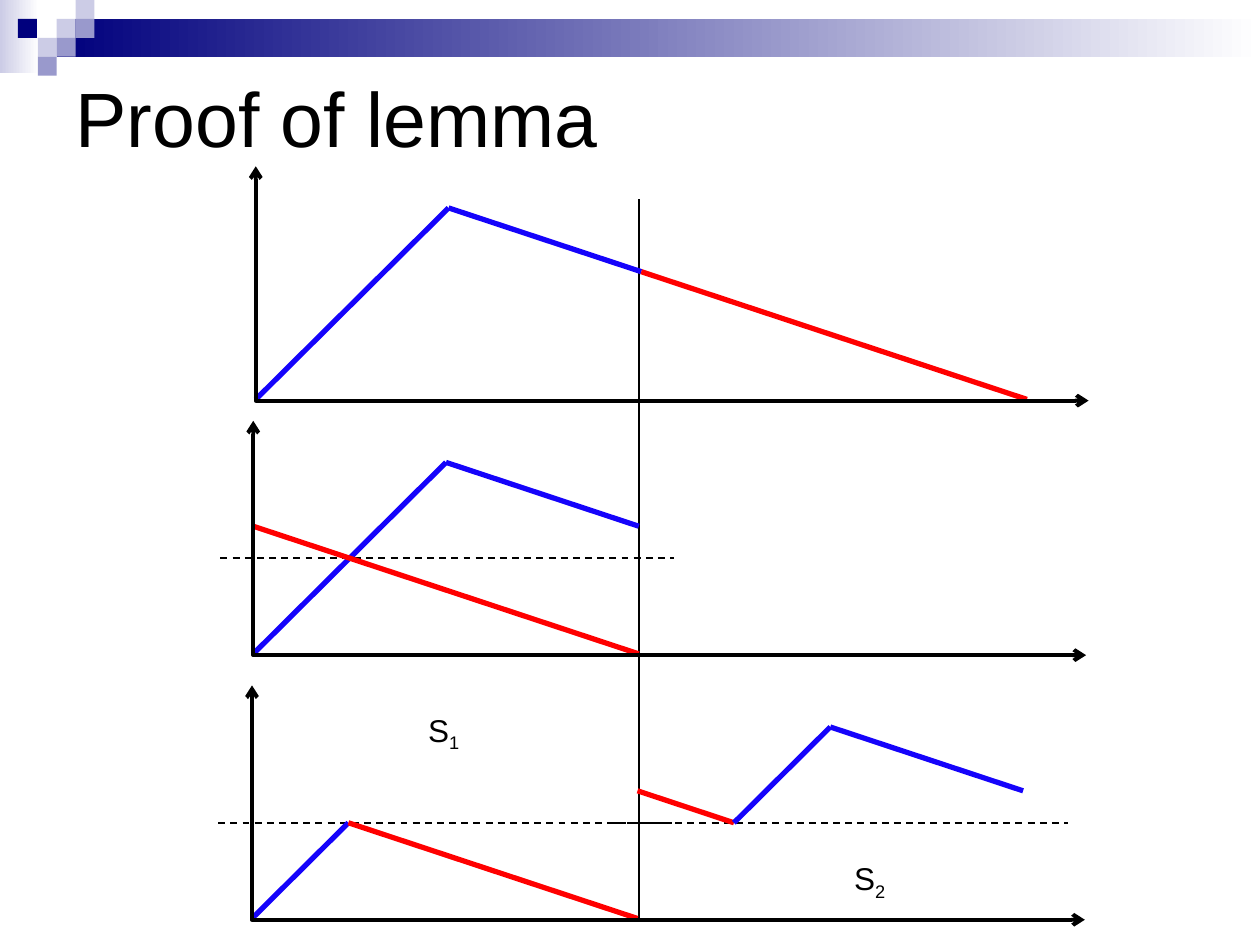
from dataclasses import dataclass

from lxml import etree
from pptx import Presentation, util as u
from pptx.dml.color import RGBColor
from pptx.enum import dml, shapes, text
from pptx.oxml.ns import qn


@dataclass(frozen=True)
class Theme:
    font: str = "Arial"
    title_size: float = 44
    label_size: float = 18
    ink: str = "000000"
    rising: str = "1503FB"
    falling: str = "FF0000"
    navy: str = "00007D"
    mid: str = "9999CC"
    pale: str = "CCCCE6"
    white: str = "FFFFFF"
    curve: float = 3
    axis: float = 2.25
    guide: float = 1


THEME = Theme()
COLUMNS, ROWS = 100, 75          # page grid, each cell 0.1 inch
CELL = u.Inches(0.1)
UNIT_X, UNIT_Y = 7.65, 7.6       # one data unit in grid cells
AXIS_WIDTH, AXIS_HEIGHT = 66.1, 18.6
SHOULDER = 4 / 3                 # curve height halfway along


def grid(*cells):
    return [round(cell * CELL) for cell in cells]


def color(value):
    return RGBColor.from_string(value)


def add_line(slide, start, end, ink, width, dashed=False):
    line = slide.shapes.add_connector(
        shapes.MSO_CONNECTOR.STRAIGHT, *grid(*start, *end))
    line.line.color.rgb = color(ink)
    line.line.width = u.Pt(width)
    if dashed:
        line.line.dash_style = dml.MSO_LINE.DASH
    etree.SubElement(line._element.spPr, qn("a:effectLst"))


def style_run(run, size):
    run.font.name = THEME.font
    run.font.size = u.Pt(size)
    run.font.color.rgb = color(THEME.ink)


def add_banner(slide, box):
    """Gradient bars and a mosaic of small squares across the top."""
    left, top, width, tile = box

    def tile_rect(x, y, w, h, *colors):
        rect = slide.shapes.add_shape(
            shapes.MSO_SHAPE.RECTANGLE, *grid(left + x, top + y, w, h))
        rect.shadow.inherit = False
        rect.line.fill.background()
        if len(colors) == 1:
            rect.fill.solid()
            rect.fill.fore_color.rgb = color(colors[0])
        else:
            rect.fill.gradient()
            rect.fill.gradient_angle = 0
            for stop, value, position in zip(rect.fill.gradient_stops, colors, (0, 1)):
                stop.color.rgb = color(value)
                stop.position = position

    tile_rect(0, 0, 3.1, 5.8, THEME.pale, THEME.white)
    tile_rect(3 * tile, tile, width - 3 * tile, 2 * tile, THEME.navy, THEME.white)
    mosaic = [(3, 1, THEME.pale), (4, 0, THEME.pale), (4, 1, THEME.mid),
              (2, 2, THEME.pale), (0.95, 1, THEME.navy), (3, 2, THEME.mid),
              (2, 3, THEME.mid)]
    for column, row, fill in mosaic:
        tile_rect(column * tile, row * tile, tile, tile, fill)


def set_title(slide, box, words):
    title = slide.shapes.title
    title.left, title.top, title.width, title.height = grid(*box)
    title.text_frame.vertical_anchor = text.MSO_ANCHOR.MIDDLE
    paragraph = title.text_frame.paragraphs[0]
    paragraph.alignment = text.PP_ALIGN.LEFT
    run = paragraph.add_run()
    run.text = words
    style_run(run, THEME.title_size)


def add_axes(slide, box):
    """One open L-shaped outline with an arrowhead at each end."""
    left, top, width, height = box
    builder = slide.shapes.build_freeform(*grid(left, top))
    builder.add_line_segments(
        [grid(left, top + height), grid(left + width, top + height)], close=False)
    axes = builder.convert_to_shape()
    axes.shadow.inherit = False
    axes.fill.background()
    axes.line.color.rgb = color(THEME.ink)
    axes.line.width = u.Pt(THEME.axis)
    for end in ("a:headEnd", "a:tailEnd"):
        etree.SubElement(axes.line._get_or_add_ln(), qn(end), type="arrow")


def add_plot(slide, box, curves, levels=()):
    """Curves in data units, dashed levels at height 1, then the axes."""
    left, top, width, height = box

    def place(x, y):
        return left + x * UNIT_X, top + height - 0.1 - y * UNIT_Y

    for start, end in levels:
        add_line(slide, place(start, 1), place(end, 1), THEME.ink, THEME.guide, True)
    for ink, points in curves:
        for start, end in zip(points, points[1:]):
            add_line(slide, place(*start), place(*end), ink, THEME.curve)
    add_axes(slide, box)


def add_label(slide, box, name, index):
    label = slide.shapes.add_textbox(*grid(*box))
    label.text_frame.word_wrap = True
    paragraph = label.text_frame.paragraphs[0]
    for part in (name, index):
        run = paragraph.add_run()
        run.text = part
        style_run(run, THEME.label_size)
    run._r.get_or_add_rPr().set("baseline", "-25000")


def main():
    deck = Presentation()
    deck.slide_width, deck.slide_height = grid(COLUMNS, ROWS)
    slide = deck.slides.add_slide(deck.slide_layouts[5])

    add_banner(slide, (0, 0, COLUMNS, 1.5))
    set_title(slide, (5, 5, 90, 8.6), "Proof of lemma")

    # Cut position shared by all three plots
    add_line(slide, (50.7, 15.8), (50.7, 73.2), THEME.ink, THEME.guide)

    blue, red = THEME.rising, THEME.falling
    hump = [(0, 0), (2, 2), (4, SHOULDER)]
    plots = [
        # Whole curve
        (20.3, 13.2, [(blue, hump), (red, [(4, SHOULDER), (8, 0)])], []),
        # Second half laid over the first
        (20.1, 33.4, [(blue, hump), (red, [(0, SHOULDER), (4, 0)])],
         [(-0.34, 4.36)]),
        # Lower and upper parts regrouped
        (20, 54.4, [(blue, [(0, 0), (1, 1)]), (red, [(1, 1), (4, 0)]),
                    (red, [(4, SHOULDER), (5, 1)]),
                    (blue, [(5, 1), (6, 2), (8, SHOULDER)])],
         [(-0.35, 4.36), (3.76, 8.47)]),
    ]
    for left, top, curves, levels in plots:
        add_plot(slide, (left, top, AXIS_WIDTH, AXIS_HEIGHT), curves, levels)

    # Names of the two parts
    for index, left, top in (("1", 33, 55.9), ("2", 66.8, 67.7)):
        add_label(slide, (left, top, 12.3, 4), "S", index)

    deck.save("out.pptx")


if __name__ == "__main__":
    main()
